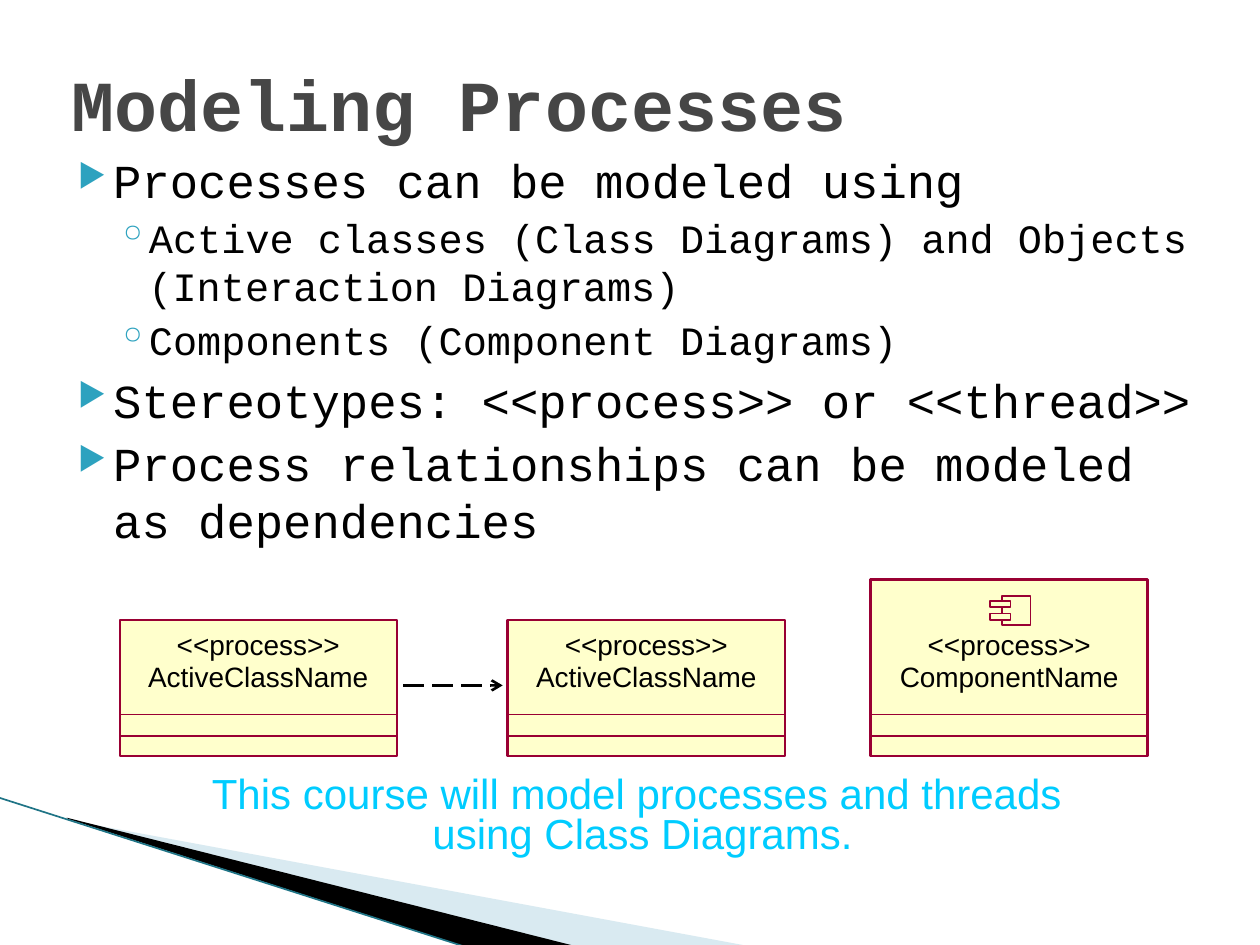
from lxml import etree
from pptx import Presentation
from pptx.dml.color import RGBColor
from pptx.enum.dml import MSO_LINE
from pptx.enum.shapes import MSO_CONNECTOR, MSO_SHAPE
from pptx.enum.text import MSO_ANCHOR, PP_ALIGN
from pptx.oxml.ns import qn
from pptx.util import Inches, Pt

CREAM, MAROON, BLACK, TEAL = "FFFFCC", "990033", "000000", "2DA2BF"
TITLE = {"name": "Courier New", "size": Pt(41), "bold": True}
LABEL = {"name": "Arial", "size": Pt(16)}
TAGLINE = {"name": "Arial", "size": Pt(24)}
CENTERED = {"alignment": PP_ALIGN.CENTER, "line_spacing": 0.8}
LEVELS = [
    {"char": "▶", "percent": 68, "margin": 0.4, "indent": -0.28, "before": 4, "size": 27},
    {"char": "◦", "percent": 100, "margin": 0.68, "indent": -0.25, "before": 3.2, "size": 23},
]
POINTS = [
    (0, "Processes can be modeled using"),
    (1, "Active classes (Class Diagrams) and Objects (Interaction Diagrams)"),
    (1, "Components (Component Diagrams)"),
    (0, "Stereotypes: <<process>> or <<thread>>"),
    (0, "Process relationships can be modeled as dependencies"),
]


def set_all(target, values):
    for name, value in values.items():
        setattr(target, name, value)


def paint(color_format, color):
    color_format.rgb = RGBColor.from_string(color)


def fill_shape(shape, color):
    shape.shadow.inherit = False
    shape.fill.solid()
    paint(shape.fill.fore_color, color)
    shape.line.fill.background()


def add_box(page, left, top, width, height, line_width=None):
    box = page.shapes.add_shape(MSO_SHAPE.RECTANGLE, Inches(left), Inches(top), Inches(width), Inches(height))
    fill_shape(box, CREAM)
    if line_width:
        paint(box.line.color, MAROON)
        box.line.width = Pt(line_width)
    return box


def add_line(page, start, end, color, width):
    line = page.shapes.add_connector(MSO_CONNECTOR.STRAIGHT, *map(Inches, start + end))
    paint(line.line.color, color)
    line.line.width = Pt(width)
    etree.SubElement(line._element.spPr, qn("a:effectLst"))
    return line


def add_text_box(page, left, top, width, height):
    box = page.shapes.add_textbox(Inches(left), Inches(top), Inches(width), Inches(height))
    box.text_frame.word_wrap = True
    return box.text_frame


def next_paragraph(frame, index):
    return frame.add_paragraph() if index else frame.paragraphs[0]


def write(para, text, style, color):
    para.text = text
    for span in para.runs:
        set_all(span.font, style)
        paint(span.font.color, color)


def add_bullet(para, level):
    props = para._p.get_or_add_pPr()
    props.set("marL", str(Inches(level["margin"])))
    props.set("indent", str(Inches(level["indent"])))
    color = etree.SubElement(props, qn("a:buClr"))
    etree.SubElement(color, qn("a:srgbClr"), val=TEAL)
    etree.SubElement(props, qn("a:buSzPct"), val=str(level["percent"] * 1000))
    etree.SubElement(props, qn("a:buChar"), char=level["char"])


def add_polygon(page, points, color, alpha=None):
    corners = [(Inches(x), Inches(y)) for x, y in points]
    builder = page.shapes.build_freeform(*corners[0], scale=1.0)
    builder.add_line_segments(corners[1:], close=True)
    shape = builder.convert_to_shape()
    fill_shape(shape, color)
    if alpha:
        tint = shape._element.spPr.find(qn("a:solidFill"))[0]
        etree.SubElement(tint, qn("a:alpha"), val=str(alpha * 1000))


def add_corner_decoration(page):
    add_polygon(page, [(0.55, 6.51), (5.95, 7.51), (4.56, 7.51), (0.55, 6.5)], "A0CBDC", 40)
    add_polygon(page, [(0.53, 6.49), (4.57, 7.51), (3.72, 7.52), (0.54, 6.5)], BLACK)
    add_line(page, (-0.01, 6.33), (3.71, 7.52), "1F7486", 0.95)


def add_title(page, left, top, width, height):
    frame = add_text_box(page, left, top, width, height)
    frame.vertical_anchor = MSO_ANCHOR.MIDDLE
    write(frame.paragraphs[0], "Modeling Processes", TITLE, "464646")


def add_points(page, left, top, width, height):
    frame = add_text_box(page, left, top, width, height)
    for index, (depth, text) in enumerate(POINTS):
        level = LEVELS[depth]
        para = next_paragraph(frame, index)
        add_bullet(para, level)
        set_all(para, {"level": depth, "space_before": Pt(level["before"] if index else 0)})
        write(para, text, {"name": "Courier New", "size": Pt(level["size"])}, BLACK)


def add_class_box(page, left, top, width, height, name, line_width):
    add_box(page, left, top, width, height, line_width)
    bottom = top + height
    for rise in (0.16, 0.33):
        add_line(page, (left, bottom - rise), (left + width, bottom - rise), MAROON, 1)
    label = add_box(page, left + 0.22, bottom - 0.97, width - 0.44, 0.48)
    frame = label.text_frame
    set_all(frame, {side: 0 for side in ("margin_left", "margin_top", "margin_right", "margin_bottom")})
    set_all(frame, {"word_wrap": False, "vertical_anchor": MSO_ANCHOR.TOP})
    for index, text in enumerate(("<<process>>", name)):
        para = next_paragraph(frame, index)
        set_all(para, CENTERED | {"space_before": Pt(3.2 * index)})
        write(para, text, LABEL, BLACK)


def add_component_icon(page, left, top):
    add_box(page, left + 0.09, top, 0.23, 0.23, 1)
    for drop in (0.14, 0.04):
        add_box(page, left, top + drop, 0.16, 0.05, 1)


def add_dependency(page, start, end):
    arrow = add_line(page, start, end, BLACK, 1.5)
    arrow.line.dash_style = MSO_LINE.LONG_DASH
    etree.SubElement(arrow.line._get_or_add_ln(), qn("a:tailEnd"), type="arrow")


def add_tagline(page, left, top, width, height):
    frame = add_text_box(page, left, top, width, height)
    set_all(frame, {"margin_left": Inches(0.12), "margin_right": Inches(0.12),
                    "margin_top": Inches(0.06), "margin_bottom": Inches(0.06)})
    para = frame.paragraphs[0]
    set_all(para, CENTERED)
    write(para, "This course will model processes and threads \vusing Class Diagrams.", TAGLINE, "00CCFF")


def main():
    deck = Presentation()
    set_all(deck, {"slide_width": Inches(10), "slide_height": Inches(7.5)})
    page = deck.slides.add_slide(deck.slide_layouts[6])
    add_corner_decoration(page)
    add_points(page, 0.4, 1.15, 9.28, 3.77)
    add_title(page, 0.47, 0.19, 9, 1.25)
    add_class_box(page, 0.95, 4.92, 2.2, 1.08, "ActiveClassName", 1)
    add_class_box(page, 4.03, 4.92, 2.2, 1.08, "ActiveClassName", 1.5)
    add_dependency(page, (3.2, 5.44), (3.99, 5.44))
    add_tagline(page, 0.2, 6.11, 9.8, 0.92)
    add_class_box(page, 6.91, 4.6, 2.2, 1.4, "ComponentName", 1.5)
    add_component_icon(page, 7.86, 4.73)
    deck.save("out.pptx")


if __name__ == "__main__":
    main()
